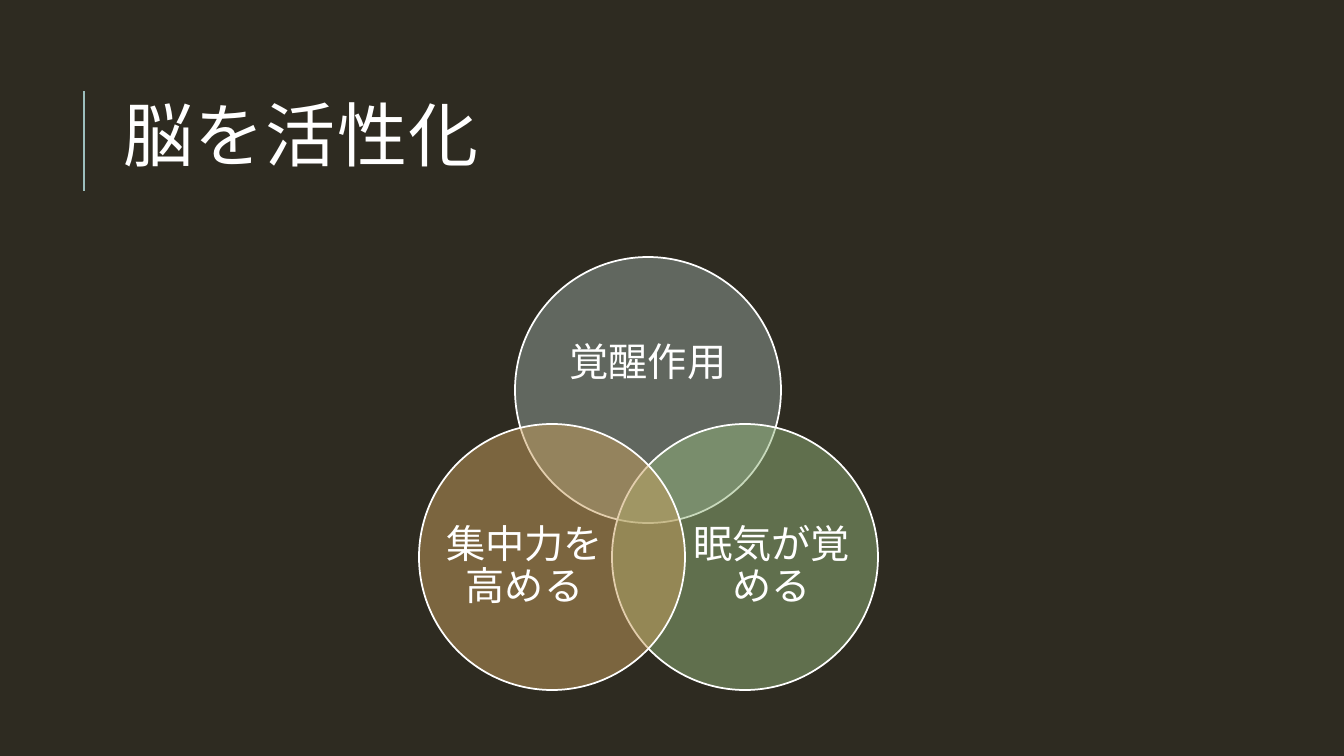
from dataclasses import dataclass

from lxml.etree import SubElement
from pptx import Presentation
from pptx.dml.color import RGBColor
from pptx.enum.shapes import MSO_CONNECTOR as Connector, MSO_SHAPE as Shape
from pptx.enum.text import MSO_ANCHOR as Anchor, PP_ALIGN as Align
from pptx.oxml.ns import qn
from pptx.util import Pt

SCALE = 914400 / 100.8


@dataclass(frozen=True)
class Theme:
    background: str = "2E2B21"
    accent: str = "9CBEBD"
    white: str = "FFFFFF"
    gray: str = "95A39D"
    green: str = "92B47A"
    tan: str = "C89F5D"
    latin: str = "Calibri"
    japanese: str = "Noto Sans CJK JP"
    title_size: int = 50
    label_size: int = 28


THEME = Theme()


@dataclass(frozen=True)
class Box:
    left: int
    top: int
    width: int
    height: int

    def emu(self):
        return [px(n) for n in (self.left, self.top, self.width, self.height)]


def px(length):
    return round(length * SCALE)


def color(value):
    return RGBColor.from_string(value)


def write(frame, text, size, font, align, spacing):
    frame.word_wrap = True
    frame.vertical_anchor = Anchor.MIDDLE
    para = frame.paragraphs[0]
    para.alignment = align
    para.line_spacing = spacing
    span = para.add_run()
    span.text = text
    span.font.size = Pt(size)
    span.font.name = font
    span.font.color.rgb = color(THEME.white)
    properties = span.font._element
    properties.set("lang", "ja-JP")
    SubElement(properties, qn("a:ea")).set("typeface", THEME.japanese)
    return span


def add_title(slide, box, text):
    title = slide.shapes.title
    title.left, title.top, title.width, title.height = box.emu()
    span = write(title.text_frame, text, THEME.title_size, THEME.japanese, Align.LEFT, 0.8)
    span.font._element.set("spc", "100")
    x, middle, half = box.left - 29, box.top + box.height // 2, 50
    rule = slide.shapes.add_connector(
        Connector.STRAIGHT, px(x), px(middle + half), px(x), px(middle - half))
    rule.line.color.rgb = color(THEME.accent)
    rule.line.width = Pt(1.5)
    SubElement(rule._element.spPr, qn("a:effectLst"))


def add_circle(group, box, fill, label_box, text):
    circle = group.shapes.add_shape(Shape.OVAL, *box.emu())
    circle.shadow.inherit = False
    circle.fill.solid()
    circle.fill.fore_color.rgb = color(fill)
    tint = circle._element.spPr.find(qn("a:solidFill"))[0]
    SubElement(tint, qn("a:alpha")).set("val", "50000")
    circle.line.color.rgb = color(THEME.white)
    circle.line.width = Pt(1.25)
    frame = group.shapes.add_textbox(*label_box.emu()).text_frame
    frame.margin_left = frame.margin_top = frame.margin_right = frame.margin_bottom = 0
    write(frame, text, THEME.label_size, THEME.latin, Align.CENTER, 0.9)


def add_venn(slide, box):
    diameter = 266
    right = box.left + box.width - diameter
    lower = box.top + box.height - diameter
    upper_label = Box(35, 47, 196, 120)
    right_label = Box(80, 70, 159, 146)
    left_label = Box(26, 70, 159, 146)
    circles = [
        ((box.left + right) // 2, box.top, THEME.gray, upper_label, "覚醒作用"),
        (right, lower, THEME.green, right_label, "眠気が覚める"),
        (box.left, lower, THEME.tan, left_label, "集中力を高める"),
    ]
    group = slide.shapes.add_group_shape()
    for left, top, fill, label, text in circles:
        label_box = Box(left + label.left, top + label.top, label.width, label.height)
        add_circle(group, Box(left, top, diameter, diameter), fill, label_box, text)


def main():
    deck = Presentation()
    deck.slide_width, deck.slide_height = px(1344), px(756)
    slide = deck.slides.add_slide(deck.slide_layouts[5])
    slide.background.fill.solid()
    slide.background.fill.fore_color.rgb = color(THEME.background)
    add_title(slide, Box(113, 59, 1072, 165), "脳を活性化")
    add_venn(slide, Box(419, 257, 459, 433))
    deck.save("out.pptx")


if __name__ == "__main__":
    main()
